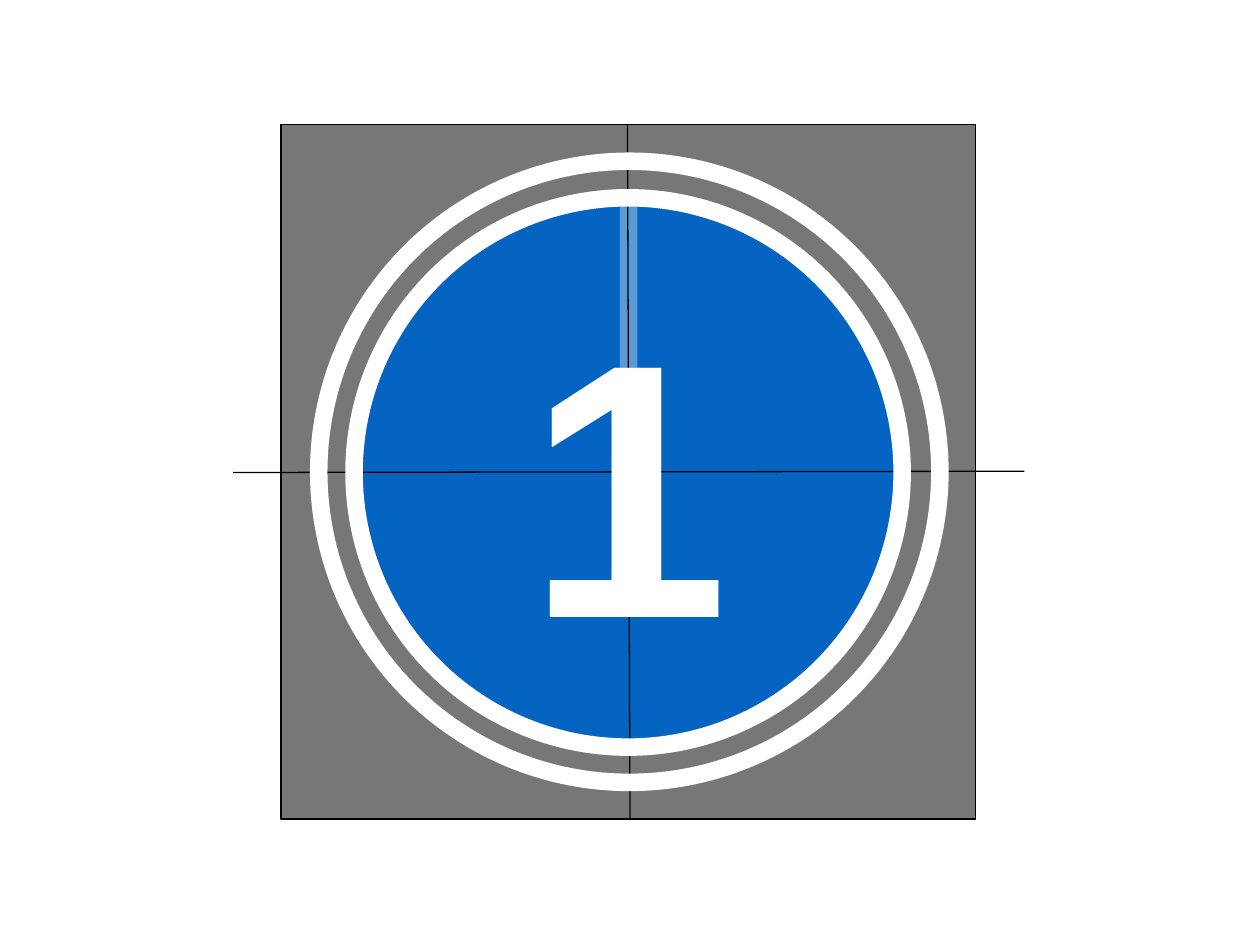
from dataclasses import dataclass

from pptx import Presentation
from pptx.dml.color import RGBColor
from pptx.enum.shapes import MSO_CONNECTOR, MSO_SHAPE
from pptx.enum.text import MSO_ANCHOR, PP_ALIGN
from pptx.oxml.ns import qn
from pptx.util import Inches, Pt
from lxml import etree


@dataclass(frozen=True)
class Theme:
    black = RGBColor(0x00, 0x00, 0x00)
    white = RGBColor(0xFF, 0xFF, 0xFF)
    gray = RGBColor(0x77, 0x77, 0x77)
    blue = RGBColor(0x05, 0x63, 0xC1)
    light_blue = RGBColor(0x5B, 0x9B, 0xD5)
    font = "Arial"
    digit_size = Pt(207)
    thin = Pt(0.75)
    thick = Pt(10)


theme = Theme()


def add_figure(shapes, kind, box, fill=None, line=None, width=theme.thin):
    """Add a preset shape; a fill or line of None is left out."""
    shape = shapes.add_shape(kind, *(Inches(length) for length in box))
    shape.shadow.inherit = False
    if fill is None:
        shape.fill.background()
    else:
        shape.fill.solid()
        shape.fill.fore_color.rgb = fill
    if line is None:
        shape.line.fill.background()
    else:
        shape.line.color.rgb = line
        shape.line.width = width
    return shape


presentation = Presentation()
presentation.slide_width = Inches(10)
presentation.slide_height = Inches(7.5)
slide = presentation.slides.add_slide(presentation.slide_layouts[6])

add_figure(slide.shapes, MSO_SHAPE.RECTANGLE, (2.23, 0.99, 5.51, 5.51),
           theme.gray, theme.black)

# Dial with its sweeping hand
dial = slide.shapes.add_group_shape()
add_figure(dial.shapes, MSO_SHAPE.OVAL, (2.83, 1.57, 4.32, 4.36),
           theme.blue, theme.black)
add_figure(dial.shapes, MSO_SHAPE.RECTANGLE, (4.92, 1.58, 0.14, 2.16),
           theme.light_blue)

# Crosshair
for ends in ((4.98, 0.99, 5, 6.51), (8.13, 3.74, 1.85, 3.75)):
    crosshair = slide.shapes.add_connector(
        MSO_CONNECTOR.STRAIGHT, *(Inches(length) for length in ends))
    crosshair.line.color.rgb = theme.black
    crosshair.line.width = theme.thin
    etree.SubElement(crosshair._element.spPr, qn("a:effectLst"))

# White rings, the inner one carrying the digit
inner_ring, outer_ring = [
    add_figure(slide.shapes, MSO_SHAPE.OVAL, box, line=theme.white, width=theme.thick)
    for box in ((2.81, 1.57, 4.35, 4.36), (2.53, 1.28, 4.93, 4.93))
]

text_frame = inner_ring.text_frame
text_frame.word_wrap = False
text_frame.vertical_anchor = MSO_ANCHOR.MIDDLE
paragraph = text_frame.paragraphs[0]
paragraph.alignment = PP_ALIGN.CENTER
run = paragraph.add_run()
run.text = "1"
run.font.name = theme.font
run.font.size = theme.digit_size
run.font.bold = True
run.font.color.rgb = theme.white

presentation.save("out.pptx")
